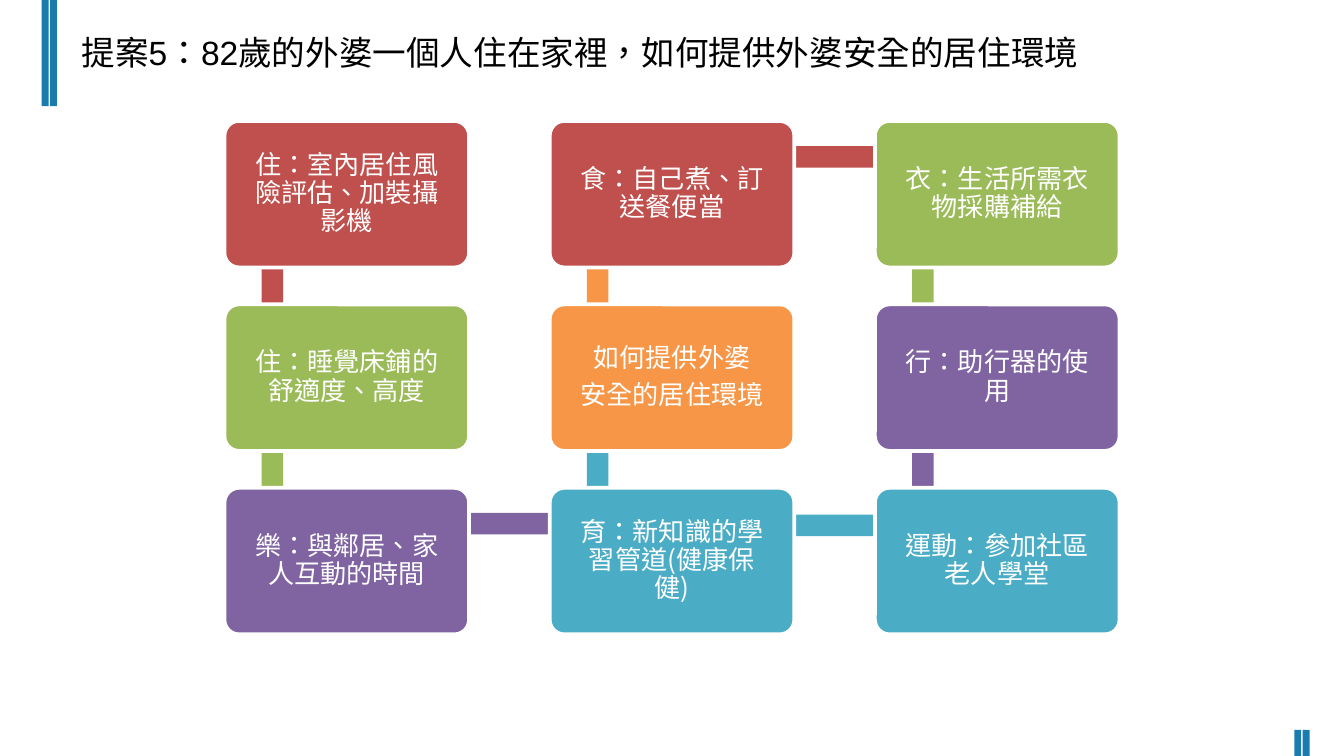
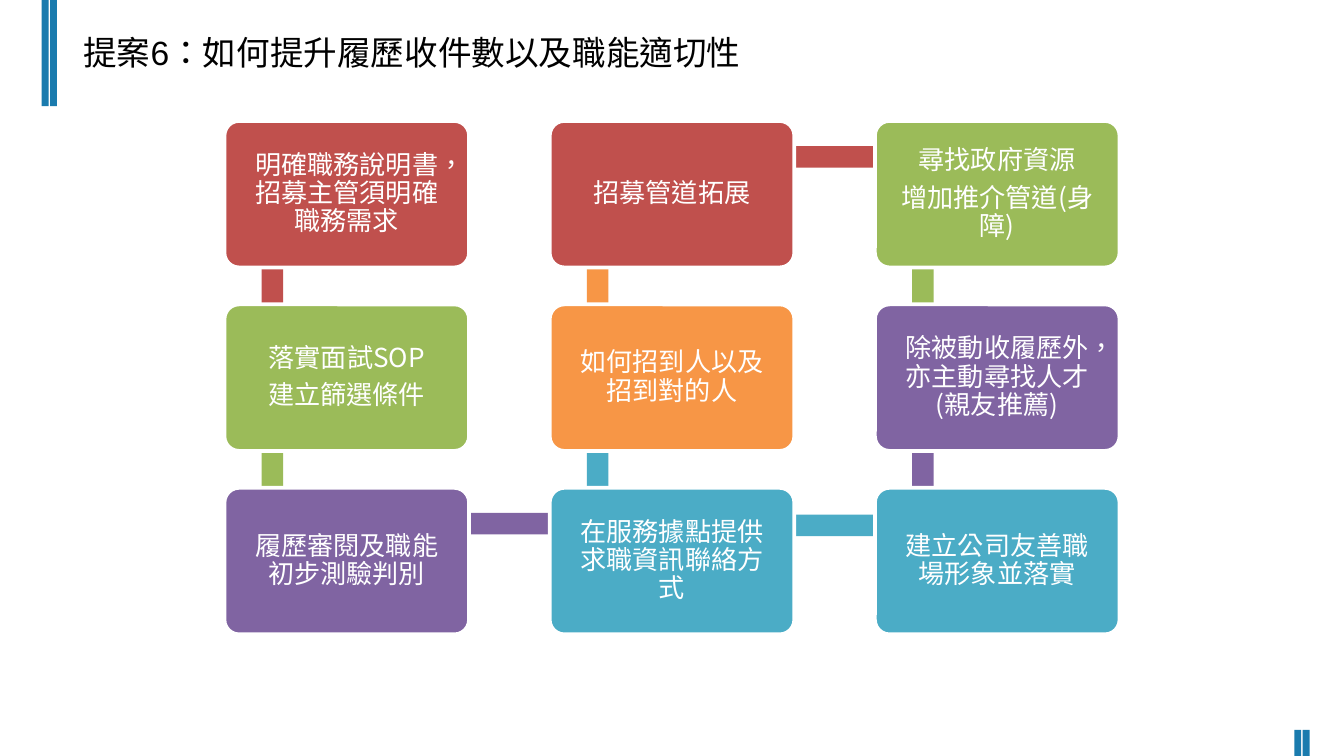
from lxml import etree
from pptx import Presentation
from pptx.dml.color import RGBColor
from pptx.enum.lang import MSO_LANGUAGE_ID
from pptx.enum.shapes import MSO_SHAPE
from pptx.enum.text import MSO_ANCHOR, MSO_AUTO_SIZE, PP_ALIGN
from pptx.oxml.ns import qn
from pptx.util import Pt

RECT, ROUNDED = MSO_SHAPE.RECTANGLE, MSO_SHAPE.ROUNDED_RECTANGLE
LEFT, CENTER = PP_ALIGN.LEFT, PP_ALIGN.CENTER
TOP, MIDDLE = MSO_ANCHOR.TOP, MSO_ANCHOR.MIDDLE
ZH_TW = MSO_LANGUAGE_ID.TRADITIONAL_CHINESE

BLACK = RGBColor(0x00, 0x00, 0x00)
WHITE = RGBColor(0xFF, 0xFF, 0xFF)
BLUE = RGBColor(0x1A, 0x7B, 0xAE)
RED = RGBColor(0xC0, 0x50, 0x4D)
GREEN = RGBColor(0x9B, 0xBB, 0x59)
PURPLE = RGBColor(0x80, 0x64, 0xA2)
TEAL = RGBColor(0x4B, 0xAC, 0xC6)
ORANGE = RGBColor(0xF7, 0x96, 0x46)

CJK_FONT = "Noto Sans CJK SC"
TITLE_FONT = {"name": "Arial", "size": Pt(18)}
CARD_FONT = {"name": CJK_FONT, "size": Pt(14)}

# Grid of cards: one colour per row and column
GRID_BOX = (120.24, 64.8, 479.52, 275.04)
CARD_W, CARD_H = 131.04, 78.48
CARD_COLORS = [[RED, RED, GREEN],
               [GREEN, ORANGE, PURPLE],
               [PURPLE, TEAL, TEAL]]
BAR = 11.5
# Links down: row, column, colour
DOWN_LINKS = [(0, 0, RED), (1, 0, GREEN), (0, 1, ORANGE),
              (1, 1, TEAL), (0, 2, GREEN), (1, 2, PURPLE)]
# Links across: row, column, colour, offset from the card, length
ACROSS_LINKS = [(0, 1, RED, (26.5, 13.5), 173.5),
                (2, 0, PURPLE, (26.5, 13.5), 173.5),
                (2, 1, TEAL, (91.5, 14.4), 97)]

SLIDES = [
    {"title": "提案5：82歲的外婆一個人住在家裡，如何提供外婆安全的居住環境",
     "box": (33.84, 15.84, 553.68, 56.16), "align": CENTER, "spacing": 0.9,
     "cards": [
         ["住：室內居住風險評估、加裝攝影機", "食：自己煮、訂送餐便當", "衣：生活所需衣物採購補給"],
         ["住：睡覺床鋪的舒適度、高度", "如何提供外婆\n安全的居住環境", "行：助行器的使用"],
         ["樂：與鄰居、家人互動的時間", "育：新知識的學習管道(健康保健)", "運動：參加社區老人學堂"]]},
    {"title": "提案6：如何提升履歷收件數以及職能適切性",
     "box": (37.44, 13.68, 370.08, 28.8), "align": LEFT, "spacing": 1.0,
     "cards": [
         ["明確職務說明書，招募主管須明確職務需求", "招募管道拓展", "尋找政府資源\n增加推介管道(身障)"],
         ["落實面試SOP\n建立篩選條件", "如何招到人以及招到對的人", "除被動收履歷外，亦主動尋找人才(親友推薦)"],
         ["履歷審閱及職能初步測驗判別", "在服務據點提供求職資訊聯絡方式", "建立公司友善職場形象並落實"]]},
]


def add_block(s, kind, box, color):
    sp = s.shapes.add_shape(kind, *(Pt(v) for v in box))
    sp.shadow.inherit = False
    sp.fill.solid()
    sp.fill.fore_color.rgb = color
    sp.line.fill.background()
    return sp


def write_text(tf, text, fmt, color, align, spacing, after):
    tf.word_wrap = True
    for i, line in enumerate(text.split("\n")):
        p = tf.paragraphs[0] if i == 0 else tf.add_paragraph()
        for key, value in {"alignment": align, "line_spacing": spacing,
                           "space_before": Pt(0), "space_after": Pt(after)}.items():
            setattr(p, key, value)
        r = p.add_run()
        r.text = line
        r.font.color.rgb = color
        for key, value in {**fmt, "bold": False, "language_id": ZH_TW}.items():
            setattr(r.font, key, value)
        ea = etree.SubElement(r._r.get_or_add_rPr(), qn("a:ea"))
        ea.set("typeface", CJK_FONT)


def add_bands(s, layout):
    """Draw the twin bands and move them to the layout, shared by all slides."""
    for x, y, h in [(22.32, 0, 56.88), (693.36, 390.96, 14.04)]:
        for dx in (0, 4.5):
            sp = add_block(s, RECT, (x + dx, y, 3.7, h), BLUE)
            layout.shapes._spTree.append(sp._element)


def add_title(s, text, box, align, spacing):
    sp = s.shapes.title
    sp.left, sp.top, sp.width, sp.height = (Pt(v) for v in box)
    tf = sp.text_frame
    tf.auto_size = MSO_AUTO_SIZE.NONE
    tf.vertical_anchor = TOP
    write_text(tf, text, TITLE_FONT, BLACK, align, spacing, 0)


def add_card_grid(s, box, cards):
    left, top, width, height = box
    step_x, step_y = (width - CARD_W) / 2, (height - CARD_H) / 2

    def corner(row, col):
        return left + col * step_x, top + row * step_y

    # Links behind the cards
    for row, col, color in DOWN_LINKS:
        x, y = corner(row, col)
        add_block(s, RECT, (x + 20, y + 20, BAR, 97), color)
    for row, col, color, (dx, dy), length in ACROSS_LINKS:
        x, y = corner(row, col)
        add_block(s, RECT, (x + dx, y + dy, length, BAR), color)

    # Cards
    for row, texts in enumerate(cards):
        for col, text in enumerate(texts):
            sp = add_block(s, ROUNDED, (*corner(row, col), CARD_W, CARD_H),
                           CARD_COLORS[row][col])
            sp.adjustments[0] = 0.1
            sp.line.color.rgb = WHITE
            sp.line.width = Pt(2)
            tf = sp.text_frame
            tf.vertical_anchor = MIDDLE
            for side in ("left", "top", "right", "bottom"):
                setattr(tf, f"margin_{side}", Pt(10))
            write_text(tf, text, CARD_FONT, WHITE, CENTER, 0.9, 4.9)


def main():
    prs = Presentation()
    prs.slide_width, prs.slide_height = Pt(720), Pt(405)
    layout = prs.slide_layouts[5]
    for i, item in enumerate(SLIDES):
        s = prs.slides.add_slide(layout)
        if i == 0:
            add_bands(s, layout)
        add_card_grid(s, GRID_BOX, item["cards"])
        add_title(s, item["title"], item["box"], item["align"], item["spacing"])
    prs.save("out.pptx")


if __name__ == "__main__":
    main()
